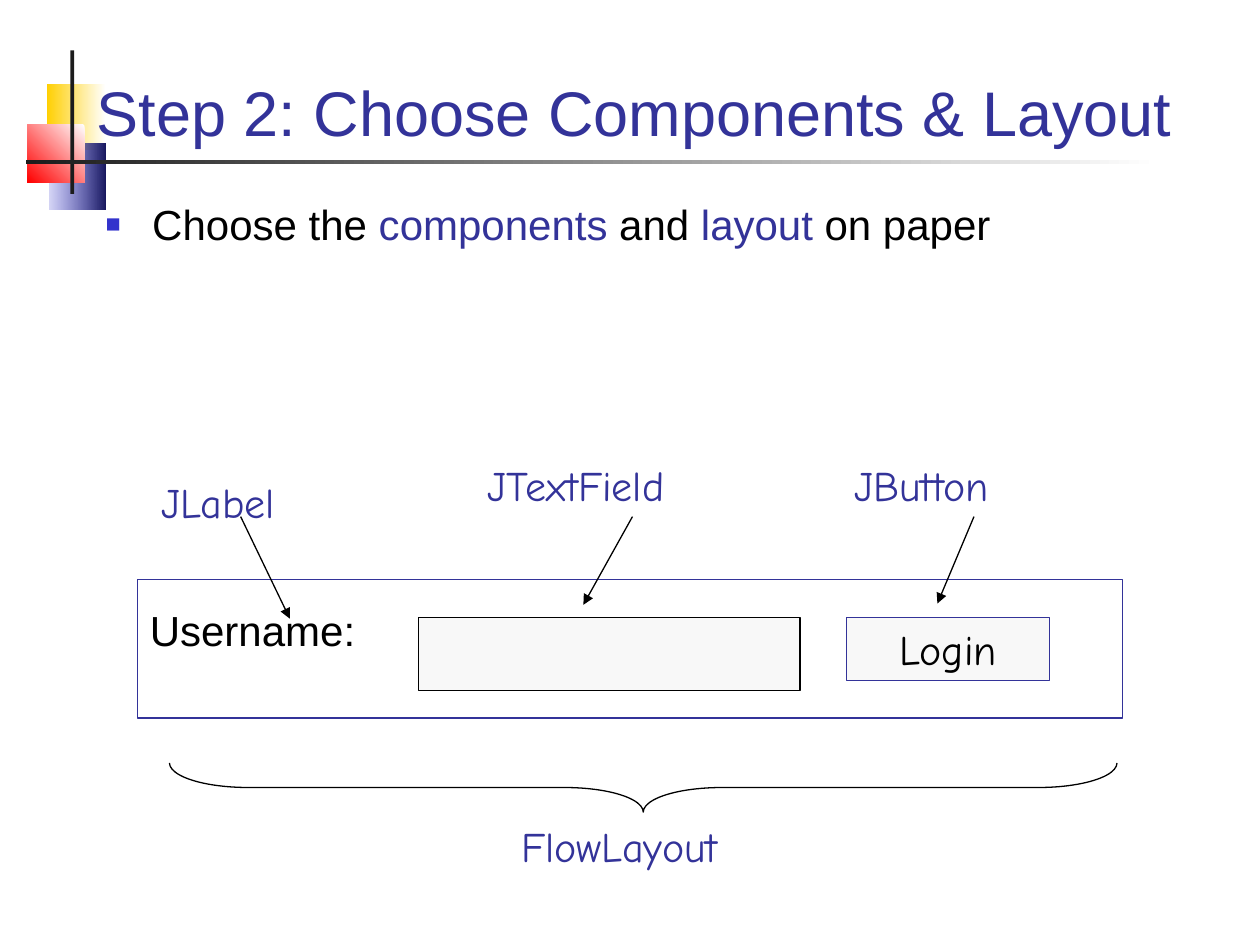
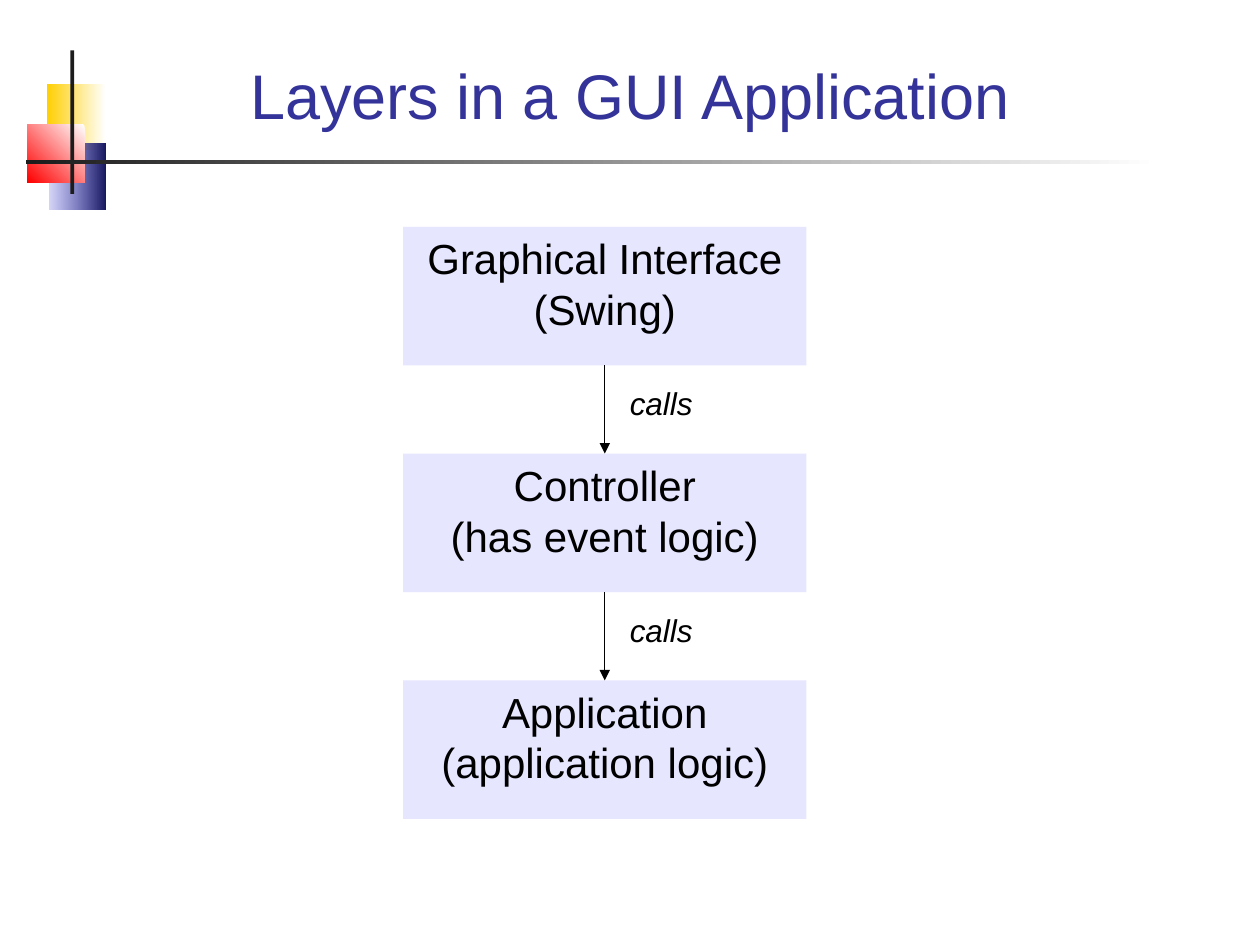
from dataclasses import dataclass
from typing import Optional

import pptx
import pptx.dml.color
import pptx.enum.shapes
import pptx.enum.text
import pptx.oxml
import pptx.oxml.ns
import pptx.util
from lxml import etree

SLIDE_WIDTH, SLIDE_HEIGHT = pptx.util.Inches(10), pptx.util.Inches(7.5)
COLUMNS, ROWS = 100, 75

INDIGO, BLUE, NAVY = "333399", "3333CC", "17175E"
BLACK, CHARCOAL, WHITE = "000000", "1C1C1C", "FFFFFF"
YELLOW, RED = "FFCF01", "FF0000"
FIELD_GREY, LAVENDER = "F8F8F8", "E6E6FF"
SANS, HANDWRITING = "Arial", "Comic Neue"

SHAPES = pptx.enum.shapes.MSO_SHAPE
LEFT, CENTER = pptx.enum.text.PP_ALIGN.LEFT, pptx.enum.text.PP_ALIGN.CENTER
TOP = pptx.enum.text.MSO_ANCHOR.TOP
MIDDLE = pptx.enum.text.MSO_ANCHOR.MIDDLE
BOTTOM = pptx.enum.text.MSO_ANCHOR.BOTTOM


@dataclass(frozen=True)
class Area:
    """A rectangle in grid columns and rows."""
    column: float
    row: float
    width: float
    height: float

    def lengths(self) -> tuple:
        return (across(self.column), down(self.row),
                across(self.width), down(self.height))


@dataclass(frozen=True)
class Gradient:
    start: str
    end: str
    angle: float = 180
    end_opacity: int = 100


@dataclass(frozen=True)
class Style:
    size: float = 24
    font: str = SANS
    color: str = BLACK
    italic: bool = False
    align: int = LEFT
    anchor: int = TOP
    margin_rows: float = 0.5


@dataclass(frozen=True)
class Callout:
    """A component name with the arrow that points at the component."""
    name: str
    area: Area
    arrow_start: tuple
    arrow_end: tuple


DECORATION = [
    (Area(3.7, 6.7, 4.7, 5.2), Gradient(WHITE, YELLOW)),
    (Area(3.9, 11.4, 4.5, 5.2), Gradient(NAVY, BLUE, end_opacity=20)),
    (Area(2.2, 9.9, 4.5, 4.6), Gradient(WHITE, RED, angle=225)),
    (Area(5.6, 4, 0.3, 11.4), CHARCOAL),
    (Area(2.1, 12.7, 89.9, 0.3), Gradient(WHITE, CHARCOAL)),
]
COMPONENT_STYLE = Style(font=HANDWRITING, color=INDIGO)
CALLOUTS = [
    Callout("JLabel", Area(11.8, 37.3, 15.4, 5), (19.1, 41), (23, 49.1)),
    Callout("JTextField", Area(37.7, 36, 24.6, 5), (50.2, 41), (46.3, 48)),
    Callout("JButton", Area(66.8, 36, 24.6, 5), (77.3, 41), (74.4, 47.9)),
]
LAYERS = [
    ["Graphical Interface (Swing)"],
    ["Controller", "(has event logic)"],
    ["Application", "(application logic)"],
]


def across(columns: float) -> int:
    return round(SLIDE_WIDTH * columns / COLUMNS)


def down(rows: float) -> int:
    return round(SLIDE_HEIGHT * rows / ROWS)


def rgb(value: str) -> pptx.dml.color.RGBColor:
    return pptx.dml.color.RGBColor.from_string(value)


def add_xml(parent, tag: str, **attributes: str):
    return etree.SubElement(parent, pptx.oxml.ns.qn(tag), attributes)


def apply_gradient(shape, gradient: Gradient) -> None:
    shape.fill.gradient()
    shape.fill.gradient_angle = gradient.angle
    for stop, color in zip(shape.fill.gradient_stops, (gradient.start, gradient.end)):
        stop.color.rgb = rgb(color)
    if gradient.end_opacity < 100:
        end_color = list(shape.element.iter(pptx.oxml.ns.qn("a:srgbClr")))[-1]
        add_xml(end_color, "a:alpha", val=str(gradient.end_opacity * 1000))


def add_shape(slide, area: Area, fill=None, line: Optional[str] = None,
              kind=SHAPES.RECTANGLE):
    shape = slide.shapes.add_shape(kind, *area.lengths())
    shape.shadow.inherit = False
    if isinstance(fill, Gradient):
        apply_gradient(shape, fill)
    elif fill:
        shape.fill.solid()
        shape.fill.fore_color.rgb = rgb(fill)
    else:
        shape.fill.background()
    if line:
        shape.line.color.rgb = rgb(line)
        shape.line.width = pptx.util.Pt(0.75)
    else:
        shape.line.fill.background()
    return shape


def write(shape, paragraphs: list, style: Style = Style()) -> None:
    """Fill a shape with paragraphs, each a list of (text, color) runs or a string."""
    frame = shape.text_frame
    frame_format = {
        "word_wrap": True, "vertical_anchor": style.anchor,
        "margin_left": across(1), "margin_right": across(1),
        "margin_top": down(style.margin_rows),
        "margin_bottom": down(style.margin_rows),
    }
    for name, value in frame_format.items():
        setattr(frame, name, value)
    font_format = {"size": pptx.util.Pt(style.size), "name": style.font,
                   "italic": style.italic}
    for index, content in enumerate(paragraphs):
        paragraph = frame.add_paragraph() if index else frame.paragraphs[0]
        paragraph.alignment = style.align
        runs = [(content, style.color)] if isinstance(content, str) else content
        for text, color in runs:
            run = paragraph.add_run()
            run.text = text
            run.font.color.rgb = rgb(color)
            for name, value in font_format.items():
                setattr(run.font, name, value)


def add_text(slide, area: Area, paragraphs: list, style: Style = Style()):
    box = slide.shapes.add_textbox(*area.lengths())
    write(box, paragraphs, style)
    return box


def add_bullet(paragraph) -> None:
    properties = paragraph._p.get_or_add_pPr()
    indent = across(3.7)
    properties.set("marL", str(indent))
    properties.set("indent", str(-indent))
    add_xml(add_xml(properties, "a:buClr"), "a:srgbClr", val=BLUE)
    add_xml(properties, "a:buSzPct", val="60000")
    add_xml(properties, "a:buFont", typeface=SANS)
    add_xml(properties, "a:buChar", char="■")


def add_arrow(slide, start: tuple, end: tuple) -> None:
    arrow = slide.shapes.add_connector(
        pptx.enum.shapes.MSO_CONNECTOR.STRAIGHT,
        across(start[0]), down(start[1]), across(end[0]), down(end[1]))
    arrow.line.color.rgb = rgb(BLACK)
    arrow.line.width = pptx.util.Pt(0.75)
    add_xml(arrow.line._get_or_add_ln(), "a:tailEnd", type="triangle")
    add_xml(arrow.element.spPr, "a:effectLst")


def add_slide(presentation, title: str, title_area: Area, align: int, anchor: int):
    """Add a slide with the shared decoration and title style."""
    slide = presentation.slides.add_slide(presentation.slide_layouts[6])
    for area, fill in DECORATION:
        add_shape(slide, area, fill)
    style = Style(size=36, color=INDIGO, align=align, anchor=anchor)
    add_text(slide, title_area, [title], style)
    return slide


def build_components_slide(presentation) -> None:
    slide = add_slide(presentation, "Step 2: Choose Components & Layout",
                      Area(6.7, 2.8, 90.6, 9.5), LEFT, BOTTOM)
    body = add_text(slide, Area(7.4, 15.3, 86.6, 10.1), [[
        ("Choose the ", BLACK), ("components", INDIGO), (" and ", BLACK),
        ("layout", INDIGO), (" on paper", BLACK)]])
    add_bullet(body.text_frame.paragraphs[0])

    panel = add_shape(slide, Area(10.9, 46, 78.2, 11), line=INDIGO)
    write(panel, ["Username:"], Style(margin_rows=2))
    add_shape(slide, Area(33.2, 49, 30.3, 5.8), FIELD_GREY, BLACK)
    button = add_shape(slide, Area(67.2, 49, 16.1, 5), FIELD_GREY, INDIGO)
    write(button, ["Login"], Style(font=HANDWRITING, align=CENTER))

    for callout in CALLOUTS:
        add_text(slide, callout.area, [callout.name], COMPONENT_STYLE)
        add_arrow(slide, callout.arrow_start, callout.arrow_end)

    brace = add_shape(slide, Area(49.1, 24.9, 3.9, 75.2), line=BLACK,
                      kind=SHAPES.RIGHT_BRACE)
    brace.adjustments[0] = 1.6
    brace.rotation = 90
    add_text(slide, Area(40.4, 64.6, 28.1, 5), ["FlowLayout"], COMPONENT_STYLE)


def build_layers_slide(presentation) -> None:
    slide = add_slide(presentation, "Layers in a GUI Application",
                      Area(6.7, 2.8, 86.6, 9.4), CENTER, MIDDLE)
    left, top, width, height, pitch = 32, 18, 32, 11, 18
    middle = left + width / 2
    for index, lines in enumerate(LAYERS):
        row = top + index * pitch
        layer = add_shape(slide, Area(left, row, width, height), LAVENDER)
        write(layer, lines, Style(align=CENTER))
        if index:
            gap_row = row - pitch + height
            add_arrow(slide, (middle, gap_row), (middle, row))
            add_text(slide, Area(middle + 1, gap_row + 1, 14, 4), ["calls"],
                     Style(size=18, italic=True))


def main() -> None:
    presentation = pptx.Presentation()
    presentation.slide_width = SLIDE_WIDTH
    presentation.slide_height = SLIDE_HEIGHT
    build_components_slide(presentation)
    build_layers_slide(presentation)
    presentation.save("out.pptx")


if __name__ == "__main__":
    main()
